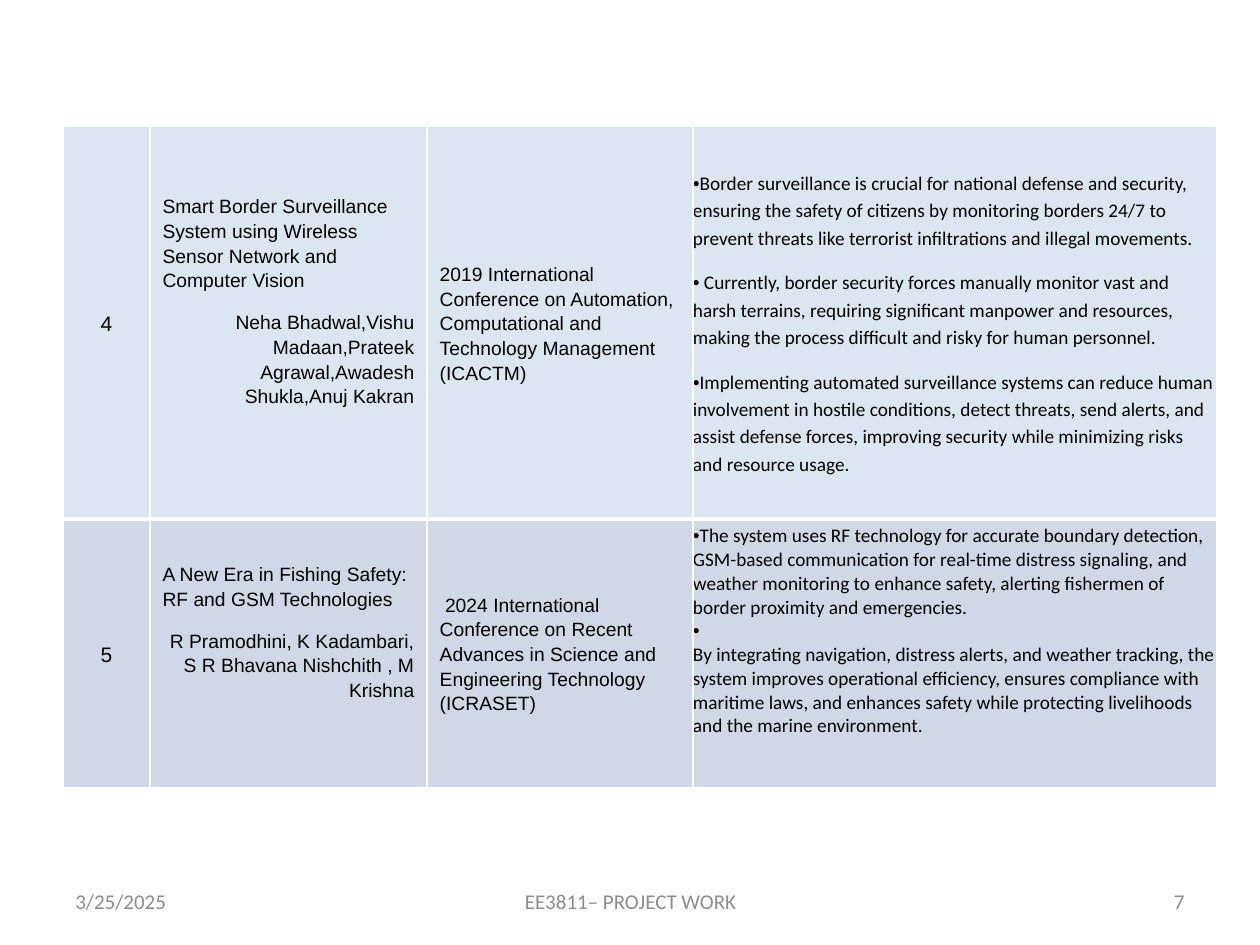
from lxml import etree
from pptx import Presentation, util as u
from pptx.dml.color import RGBColor
from pptx.enum import text
from pptx.oxml.ns import qn

LEFT, CENTER, RIGHT = text.PP_ALIGN.LEFT, text.PP_ALIGN.CENTER, text.PP_ALIGN.RIGHT


def color(value):
    return RGBColor.from_string(value)


def write(paragraph, words, size=11, font="Arial", ink="000000", align=LEFT,
          spacing=None, after=0, bullet=False):
    """Fill one paragraph; a line break is written as \\v."""
    paragraph.text = words
    paragraph.alignment = align
    paragraph.space_after = u.Pt(after)
    if spacing:
        paragraph.line_spacing = spacing
    for run in paragraph.runs:
        run.font.size = u.Pt(size)
        run.font.name = font
        run.font.bold = False
        run.font.color.rgb = color(ink)
    for line_break in paragraph._p.findall(qn("a:br")):
        etree.SubElement(line_break, qn("a:rPr"), sz=str(size * 100))
    if bullet:
        properties = paragraph._p.get_or_add_pPr()
        properties.set("marL", "0")
        properties.set("indent", "0")
        etree.SubElement(properties, qn("a:buFont"), typeface="Arial")
        etree.SubElement(properties, qn("a:buChar"), char="•")


class PaperSlide:
    grey = "8C8C8C"
    border = "FFFFFF"

    def __init__(self, presentation):
        self.slide = presentation.slides.add_slide(presentation.slide_layouts[6])

    def footer(self, words, left, width, align):
        box = self.slide.shapes.add_textbox(
            u.Inches(left), u.Inches(6.95), u.Inches(width), u.Inches(0.4))
        frame = box.text_frame
        frame.word_wrap = True
        frame.vertical_anchor = text.MSO_ANCHOR.MIDDLE
        write(frame.paragraphs[0], words, 12, "Calibri", self.grey, align)

    def table(self, left, top, widths, heights):
        frame = self.slide.shapes.add_table(
            len(heights), len(widths), u.Inches(left), u.Inches(top),
            u.Inches(sum(widths)), u.Inches(sum(heights)))
        table = frame.table
        table.first_row = table.horz_banding = False
        for column, width in zip(table.columns, widths):
            column.width = u.Inches(width)
        for row, height in zip(table.rows, heights):
            row.height = u.Inches(height)
        return table

    def cell(self, cell, paragraphs, fill, edges, margins=(0.1, 0.05, 0.1, 0.05)):
        properties = cell._tc.get_or_add_tcPr()
        for side, width in zip("LRTB", edges):
            line = etree.SubElement(properties, qn("a:ln" + side), w=str(u.Pt(width)))
            solid = etree.SubElement(line, qn("a:solidFill"))
            etree.SubElement(solid, qn("a:srgbClr"), val=self.border)
        cell.fill.solid()
        cell.fill.fore_color.rgb = color(fill)
        cell.vertical_anchor = text.MSO_ANCHOR.MIDDLE
        (cell.margin_left, cell.margin_top,
         cell.margin_right, cell.margin_bottom) = map(u.Inches, margins)
        frame = cell.text_frame
        for index, (words, style) in enumerate(paragraphs):
            paragraph = frame.add_paragraph() if index else frame.paragraphs[0]
            write(paragraph, words, **style)


# Literature entries: number, title, authors, venue, findings
PAPERS = [
    ("4",
     "Smart Border Surveillance System using Wireless Sensor Network and Computer Vision",
     "Neha Bhadwal,Vishu Madaan,Prateek Agrawal,Awadesh Shukla,Anuj Kakran",
     "2019 International Conference on Automation, Computational and Technology "
     "Management (ICACTM)",
     ["Border surveillance is crucial for national defense and security, ensuring the "
      "safety of citizens by monitoring borders 24/7 to prevent threats like terrorist "
      "infiltrations and illegal movements.",
      " Currently, border security forces manually monitor vast and harsh terrains, "
      "requiring significant manpower and resources, making the process difficult and "
      "risky for human personnel.",
      "Implementing automated surveillance systems can reduce human involvement in "
      "hostile conditions, detect threats, send alerts, and assist defense forces, "
      "improving security while minimizing risks and resource usage."]),
    ("5",
     "A New Era in Fishing Safety: RF and GSM Technologies",
     "R Pramodhini, K Kadambari, S R Bhavana Nishchith , M Krishna",
     " 2024 International Conference on Recent Advances in Science and Engineering "
     "Technology (ICRASET)",
     ["The system uses RF technology for accurate boundary detection, GSM-based "
      "communication for real-time distress signaling, and weather monitoring to enhance "
      "safety, alerting fishermen of border proximity and emergencies.",
      "\vBy integrating navigation, distress alerts, and weather tracking, the system "
      "improves operational efficiency, ensures compliance with maritime laws, and "
      "enhances safety while protecting livelihoods and the marine environment."]),
]

# Per row: fill, borders (left, right, top, bottom), findings format, findings bottom margin
LOOSE = dict(spacing=1.15, after=10)
ROWS = [
    ("DCE6F2", (1, 1, 1, 3), LOOSE, 0),
    ("D0D8E8", (1, 1, 3, 1), {}, 0.35),
]


def main():
    presentation = Presentation()
    presentation.slide_width, presentation.slide_height = u.Inches(10), u.Inches(7.5)
    page = PaperSlide(presentation)

    # Literature table
    table = page.table(0.5, 1, [0.69, 2.2, 2.11, 4.16], [3.12, 2.13])
    for row, (paper, look) in enumerate(zip(PAPERS, ROWS)):
        number, title, authors, venue, findings = paper
        fill, edges, findings_style, bottom = look
        bullets = dict(findings_style, font="Calibri", bullet=True)
        contents = [
            ([(number, dict(LOOSE, size=12, align=CENTER))], {}),
            ([(title, LOOSE), (authors, dict(LOOSE, align=RIGHT))],
             dict(margins=(0.1, 0.05, 0.1, 0.4))),
            ([(venue, LOOSE)], {}),
            ([(finding, bullets) for finding in findings],
             dict(margins=(0, 0, 0, bottom))),
        ]
        for column, (paragraphs, options) in enumerate(contents):
            page.cell(table.cell(row, column), paragraphs, fill, edges, **options)

    # Footer
    page.footer("3/25/2025", 0.5, 2.33, LEFT)
    page.footer("EE3811– PROJECT WORK", 3.42, 3.17, CENTER)
    page.footer("7", 7.17, 2.33, RIGHT)

    presentation.save("out.pptx")


if __name__ == "__main__":
    main()
